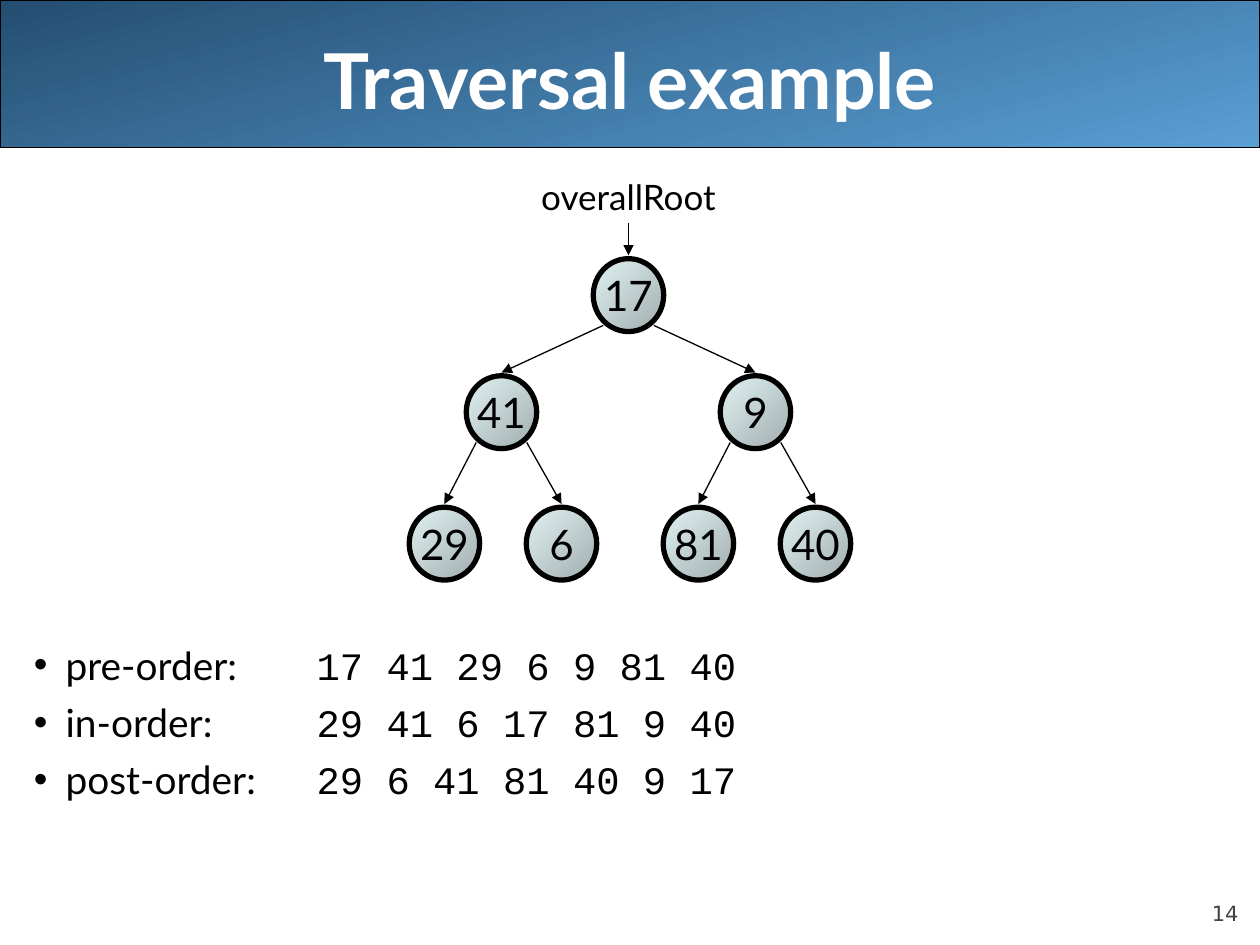
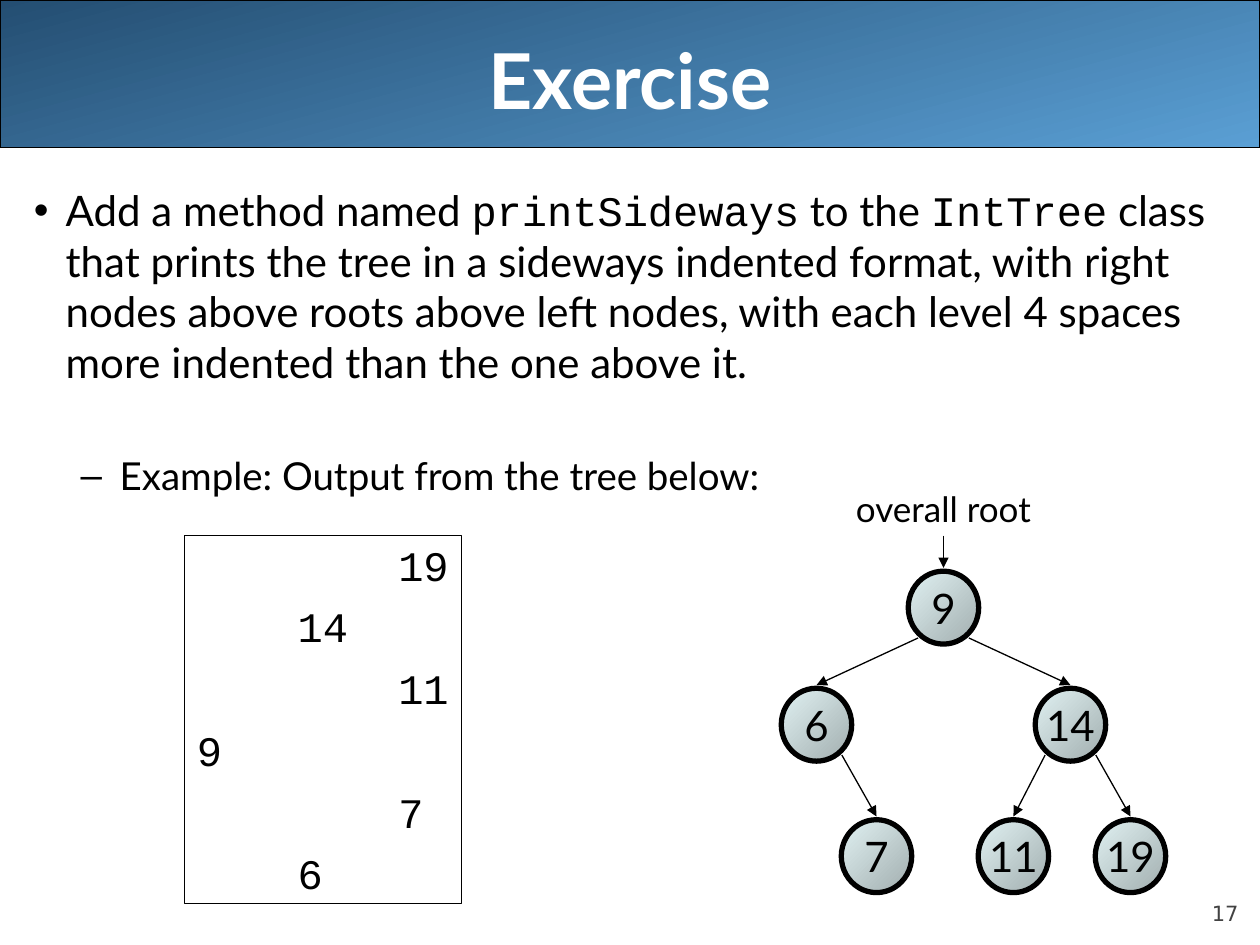
import itertools

import lxml.etree
import pptx
import pptx.dml.color
import pptx.enum.shapes
import pptx.enum.text
import pptx.oxml.ns
import pptx.util

Cm, Pt = pptx.util.Cm, pptx.util.Pt
Align = pptx.enum.text.PP_ALIGN
Anchor = pptx.enum.text.MSO_ANCHOR
Shape = pptx.enum.shapes.MSO_SHAPE

COLOURS = {
    "ink": "000000", "title": "FFFFFF", "number": "424242",
    "band dark": "244E72", "band light": "5A9FD4",
    "node dark": "A1ADAE", "node light": "E1F2F3",
}
SANS, MONO, NUMBER_FONT = "Lato", "Courier New", "DejaVu Sans"

# Tree geometry in cm, measured from the centre of a node
NODE_WIDTH, NODE_HEIGHT = 1.42, 1.47
# For each level: steps to the left child, to the right child, and down
TREE_STEPS = [(-2.56, 2.56, 2.36), (-1.15, 1.21, 2.65)]
EDGE_START = (0.51, 0.61)
ARROW_GAP = 0.8


def colour(name):
    return pptx.dml.color.RGBColor.from_string(COLOURS[name])


def add_span(para, text, font=SANS, size=24, ink="ink", bold=False):
    """Append formatted text to a paragraph."""
    span = para.add_run()
    span.text = text
    span.font.name = font
    span.font.size = Pt(size)
    span.font.bold = bold
    span.font.color.rgb = colour(ink)


def add_element(parent, tag, **attributes):
    name = pptx.oxml.ns.qn(tag)
    return lxml.etree.SubElement(parent, name, attributes)


def set_indent(para, left, first=0):
    properties = para._p.get_or_add_pPr()
    properties.set("marL", str(Cm(left)))
    properties.set("indent", str(Cm(first)))
    return properties


class Slides:
    def __init__(self):
        self.deck = pptx.Presentation()
        self.deck.slide_width, self.deck.slide_height = Cm(25.4), Cm(19.05)
        self.page = None

    # Shared page furniture
    def add_page(self, title, number):
        self.page = self.deck.slides.add_slide(self.deck.slide_layouts[1])
        band = self.add_shape(Shape.ROUNDED_RECTANGLE, 0, 0, 25.4, 2.97)
        band.adjustments[0] = 0
        self.fill_gradient(band, "band dark", "band light", 285)

        heading = self.page.shapes.title
        heading.element.addprevious(band.element)
        self.place(heading, 1.27, 0, 22.86, 3.18)
        frame = self.prepare(heading, Anchor.MIDDLE)
        frame.paragraphs[0].alignment = Align.CENTER
        add_span(frame.paragraphs[0], title, size=44, ink="title", bold=True)

        box = self.add_text(number, 22.86, 17.65, 2.11, 1.02, align=Align.RIGHT,
                            anchor=Anchor.BOTTOM, font=NUMBER_FONT, size=12,
                            ink="number")
        frame = box.text_frame
        frame.margin_left = frame.margin_right = 0
        frame.margin_top = frame.margin_bottom = 0

    def place(self, shape, left, top, width, height):
        shape.left, shape.top = Cm(left), Cm(top)
        shape.width, shape.height = Cm(width), Cm(height)

    def prepare(self, shape, anchor, wrap=True):
        frame = shape.text_frame
        frame.auto_size = pptx.enum.text.MSO_AUTO_SIZE.NONE
        frame.word_wrap = wrap
        frame.vertical_anchor = anchor
        return frame

    # Basic elements
    def add_shape(self, kind, left, top, width, height, line=0.75):
        shape = self.page.shapes.add_shape(
            kind, Cm(left), Cm(top), Cm(width), Cm(height))
        shape.shadow.inherit = False
        shape.line.color.rgb = colour("ink")
        shape.line.width = Pt(line)
        return shape

    def fill_gradient(self, shape, first, last, angle):
        shape.fill.gradient()
        shape.fill.gradient_angle = angle
        for stop, name in zip(shape.fill.gradient_stops, (first, last)):
            stop.color.rgb = colour(name)

    def add_text(self, text, left, top, width, height, align=Align.CENTER,
                 anchor=Anchor.TOP, wrap=True, **style):
        box = self.page.shapes.add_textbox(
            Cm(left), Cm(top), Cm(width), Cm(height))
        para = self.prepare(box, anchor, wrap).paragraphs[0]
        para.alignment = align
        add_span(para, text, **style)
        return box

    def add_arrow(self, x1, y1, x2, y2):
        arrow = self.page.shapes.add_connector(
            pptx.enum.shapes.MSO_CONNECTOR.STRAIGHT,
            Cm(x1), Cm(y1), Cm(x2), Cm(y2))
        arrow.line.color.rgb = colour("ink")
        arrow.line.width = Pt(0.75)
        add_element(arrow.line._get_or_add_ln(), "a:tailEnd", type="triangle")
        add_element(arrow.element.spPr, "a:effectLst")

    # Bulleted list: the spans of an item alternate between sans and mono
    def add_list(self, items, top, height, tab=None):
        body = self.page.placeholders[1]
        self.place(body, 0.43, top, 24.97, height)
        frame = self.prepare(body, Anchor.TOP)
        for index, (level, size, space, spans) in enumerate(items):
            para = frame.add_paragraph() if index else frame.paragraphs[0]
            para.level = level
            para.space_before = Pt(space)
            left, hang, bullet = [(0.64, -0.64, "•"), (1.73, -0.79, "–")][level]
            properties = set_indent(para, left, hang)
            bullet_colour = add_element(properties, "a:buClr")
            add_element(bullet_colour, "a:srgbClr", val=COLOURS["ink"])
            add_element(properties, "a:buChar", char=bullet)
            if tab:
                stops = add_element(properties, "a:tabLst")
                add_element(stops, "a:tab", pos=str(Cm(tab)), algn="l")
            for text, font in zip(spans, itertools.cycle((SANS, MONO))):
                add_span(para, text, font=font, size=size)

    # Binary tree: a node is (value, left, right), with None for no child
    def add_node(self, node, x, y, depth=0):
        value, *children = node
        circle = self.add_shape(Shape.OVAL, x - NODE_WIDTH / 2,
                                y - NODE_HEIGHT / 2, NODE_WIDTH, NODE_HEIGHT,
                                line=3)
        self.fill_gradient(circle, "node dark", "node light", 135)
        para = self.prepare(circle, Anchor.MIDDLE, wrap=False).paragraphs[0]
        para.alignment = Align.CENTER
        add_span(para, str(value))
        for index, child in enumerate(children):
            if child:
                *across, down = TREE_STEPS[depth]
                child_x, child_y = x + across[index], y + down
                side = (-1, 1)[index]
                self.add_arrow(x + side * EDGE_START[0], y + EDGE_START[1],
                               child_x, child_y - ARROW_GAP)
                self.add_node(child, child_x, child_y, depth + 1)

    def add_tree(self, label, root, x, y):
        self.add_node(root, x, y)
        self.add_text(label, x - 2.15, y - 2.54, 4.3, 1.12, wrap=False, size=20)
        self.add_arrow(x, y - 1.45, x, y - ARROW_GAP)

    # Printed output: each level is four characters further in
    def add_output(self, lines, left, top, width, height):
        box = self.add_shape(Shape.RECTANGLE, left, top, width, height)
        box.fill.background()
        frame = self.prepare(box, Anchor.TOP, wrap=False)
        frame.margin_top = Cm(0.07)
        for index, (level, value) in enumerate(lines):
            para = frame.add_paragraph() if index else frame.paragraphs[0]
            para.alignment = Align.LEFT
            para.space_before = Pt(6.5 if index else 0)
            set_indent(para, level * 2.03)
            add_span(para, str(value), font=MONO)


def main():
    slides = Slides()

    # Traversal example
    slides.add_page("Traversal example", "14")
    orders = [("pre-order:\t", "17 41 29 6 9 81 40"),
              ("in-order:\t", "29 41 6 17 81 9 40"),
              ("post-order:\t", "29 6 41 81 40 9 17")]
    slides.add_list([(0, 22.2, 6 if index else 0, spans)
                     for index, spans in enumerate(orders)],
                    top=12.8, height=5.18, tab=5.7)
    slides.add_tree("overallRoot",
                    (17, (41, (29,), (6,)), (9, (81,), (40,))), 12.67, 5.95)

    # Exercise
    slides.add_page("Exercise", "17")
    task = ("Add a method named ", "printSideways", " to the ", "IntTree",
            " class that prints the tree in a sideways indented format, with "
            "right nodes above roots above left nodes, with each level 4 "
            "spaces more indented than the one above it.")
    example = ("Example: Output from the tree below:",)
    slides.add_list([(0, 24, 0, task), (1, 22, 37.4, example)],
                    top=3.6, height=14.4)
    slides.add_tree("overall root",
                    (9, (6, None, (7,)), (14, (11,), (19,))), 19.02, 12.25)
    slides.add_output([(2, 19), (1, 14), (2, 11), (0, 9), (2, 7), (1, 6)],
                      3.72, 10.8, 5.59, 7.42)

    slides.deck.save("out.pptx")


if __name__ == "__main__":
    main()
